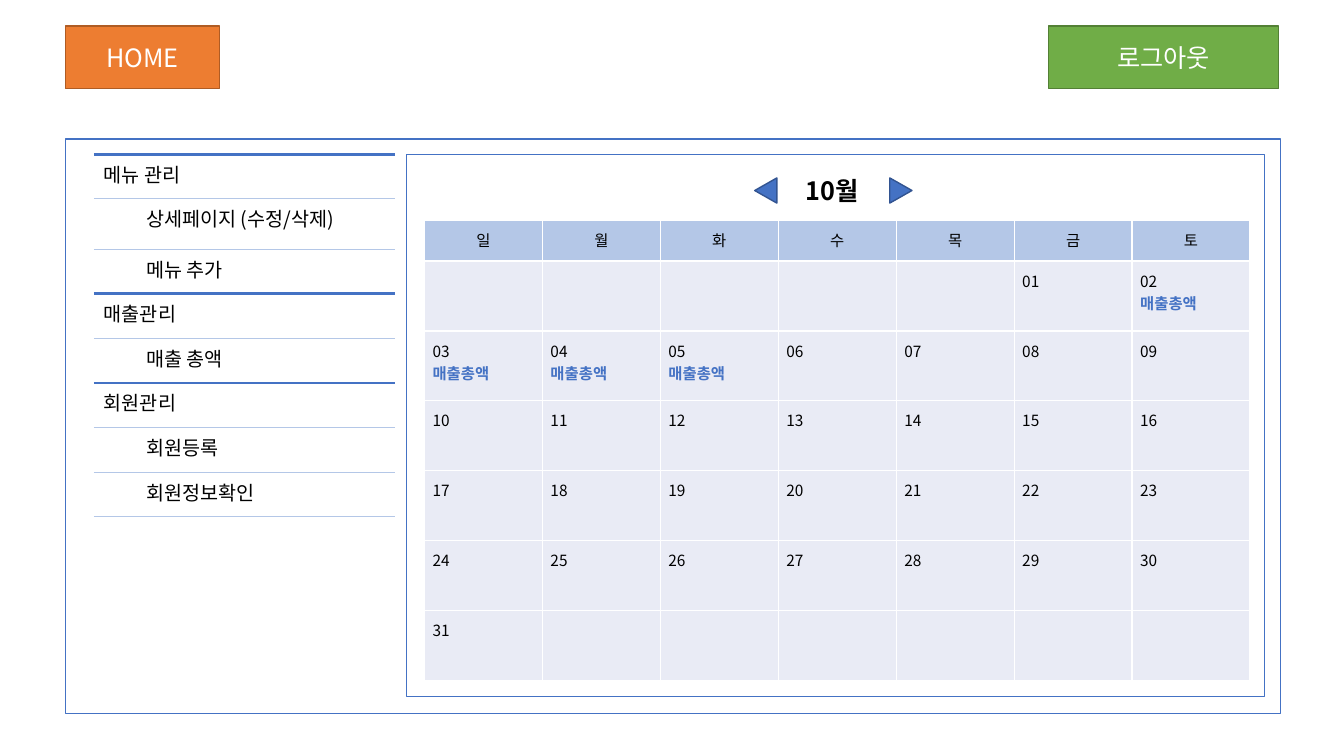
"""Build the admin calendar slide with a side menu and a monthly sales table."""
import pptx
import pptx.dml.color
import pptx.enum.shapes
import pptx.enum.text
import pptx.oxml.ns
import pptx.util
from lxml import etree

Inches, Pt = pptx.util.Inches, pptx.util.Pt
RGBColor = pptx.dml.color.RGBColor
SHAPE = pptx.enum.shapes.MSO_SHAPE
ALIGN = pptx.enum.text.PP_ALIGN
ANCHOR = pptx.enum.text.MSO_ANCHOR
qn = pptx.oxml.ns.qn

FONT = "Noto Sans CJK KR"
WHITE = RGBColor(0xFF, 0xFF, 0xFF)
BLACK = RGBColor(0, 0, 0)
BLUE = RGBColor(0x44, 0x72, 0xC4)
DARK_BLUE = RGBColor(0x32, 0x54, 0x91)
LIGHT_BLUE = RGBColor(0xB4, 0xC7, 0xE7)
PALE_BLUE = RGBColor(0xE9, 0xEB, 0xF5)
ORANGE = RGBColor(0xED, 0x7D, 0x31)
DARK_ORANGE = RGBColor(0xAF, 0x5C, 0x24)
GREEN = RGBColor(0x70, 0xAD, 0x47)
DARK_GREEN = RGBColor(0x53, 0x80, 0x35)

BUTTONS = [
    ("HOME", (0.65, 0.26, 1.53, 0.62), ORANGE, DARK_ORANGE),
    ("로그아웃", (10.4, 0.26, 2.28, 0.62), GREEN, DARK_GREEN),
]
PANELS = [(0.65, 1.38, 12.05, 5.7), (4.03, 1.53, 8.51, 5.38)]
ARROWS = [(7.47, 270), (8.81, 90)]
MONTH = "10월"
MONTH_BOX = (7.89, 1.69, 2.06, 0.4)

WEEKDAYS = "일월화수목금토"
FIRST_COLUMN, LAST_DAY, WEEKS = 5, 31, 6
SALES_DAYS = {2, 3, 4, 5}
SALES_LABEL = "매출총액"
CALENDAR_BOX = (4.21, 2.19, 8.19, 4.56)
WEEKDAY_HEIGHT = 0.4
CALENDAR_INSET = 0.08

MENU = [
    ("메뉴 관리", ["상세페이지 (수정/삭제)", "메뉴 추가"]),
    ("매출관리", ["매출 총액"]),
    ("회원관리", ["회원등록", "회원정보확인"]),
]
MENU_BOX = (0.93, 1.53, 2.99, 3.6)
MENU_INDENT = 0.42
DETAIL_ROW, DETAIL_HEIGHT = 1, 0.5


def format_paragraph(paragraph, size, color, bold=False, align=ALIGN.LEFT):
    paragraph.alignment = align
    for run in paragraph.runs:
        run.font.size, run.font.bold = Pt(size), bold
        run.font.color.rgb = color
        run.font.name = FONT
        etree.SubElement(run.font._element, qn("a:ea"), typeface=FONT)


def add_box(slide, kind, box, fill, line):
    shape = slide.shapes.add_shape(kind, *map(Inches, box))
    shape.shadow.inherit = False
    shape.fill.solid()
    shape.fill.fore_color.rgb = fill
    shape.line.color.rgb = line
    shape.line.width = Pt(1)
    return shape


def add_plain_table(slide, box, widths, heights):
    table = slide.shapes.add_table(len(heights), len(widths), *map(Inches, box)).table
    table.first_row = table.horz_banding = False
    for column, width in zip(table.columns, widths):
        column.width = Inches(width)
    for row, height in zip(table.rows, heights):
        row.height = Inches(height)
    return table


def set_borders(cell, **borders):
    properties = cell._tc.get_or_add_tcPr()
    for side in "LRTB":
        color, width = borders.get(side, (None, 0))
        line = etree.SubElement(properties, qn(f"a:ln{side}"), w=str(Pt(width)))
        if color is None:
            etree.SubElement(line, qn("a:noFill"))
        else:
            fill = etree.SubElement(line, qn("a:solidFill"))
            etree.SubElement(fill, qn("a:srgbClr"), val=str(color))


def add_calendar(slide):
    columns = len(WEEKDAYS)
    week_height = (CALENDAR_BOX[3] - WEEKDAY_HEIGHT) / WEEKS
    table = add_plain_table(slide, CALENDAR_BOX, [CALENDAR_BOX[2] / columns] * columns,
                            [WEEKDAY_HEIGHT] + [week_height] * WEEKS)
    for index, cell in enumerate(table.iter_cells()):
        set_borders(cell, **dict.fromkeys("LRTB", (WHITE, 1)))
        cell.fill.solid()
        cell.margin_left = cell.margin_right = Inches(CALENDAR_INSET)
        cell.margin_top = cell.margin_bottom = Inches(CALENDAR_INSET)
        day = index - columns - FIRST_COLUMN + 1
        paragraph = cell.text_frame.paragraphs[0]
        cell.fill.fore_color.rgb = LIGHT_BLUE if index < columns else PALE_BLUE
        if index < columns:
            paragraph.text = WEEKDAYS[index]
            format_paragraph(paragraph, 11, BLACK, align=ALIGN.CENTER)
        elif 1 <= day <= LAST_DAY:
            paragraph.text = f"{day:02}"
            format_paragraph(paragraph, 11, BLACK)
            if day in SALES_DAYS:
                label = cell.text_frame.add_paragraph()
                label.text = SALES_LABEL
                format_paragraph(label, 11, BLUE, bold=True)


def add_menu(slide):
    rows = [entry for heading, items in MENU
            for entry in [(heading, True)] + [(item, False) for item in items]]
    heights = [(MENU_BOX[3] - DETAIL_HEIGHT) / (len(rows) - 1)] * len(rows)
    heights[DETAIL_ROW] = DETAIL_HEIGHT
    table = add_plain_table(slide, MENU_BOX, [MENU_INDENT, MENU_BOX[2] - MENU_INDENT], heights)
    edges = [(BLUE, 2.25) if is_heading else (LIGHT_BLUE, 1) for _, is_heading in rows]
    edges.append((LIGHT_BLUE, 1))
    for index, (text, is_heading) in enumerate(rows):
        for column in range(2):
            cell = table.cell(index, column)
            set_borders(cell, T=edges[index], B=edges[index + 1])
            cell.fill.background()
        if is_heading:
            table.cell(index, 0).merge(table.cell(index, 1))
        paragraph = table.cell(index, 0 if is_heading else 1).text_frame.paragraphs[0]
        paragraph.text = text
        format_paragraph(paragraph, 14, BLACK)


def add_month(slide, panel):
    title = slide.shapes.title
    title.left, title.top, title.width, title.height = map(Inches, MONTH_BOX)
    panel._element.addnext(title._element)
    frame = title.text_frame
    frame.text = MONTH
    frame.auto_size = pptx.enum.text.MSO_AUTO_SIZE.NONE
    frame.vertical_anchor = ANCHOR.TOP
    frame.paragraphs[0].line_spacing = 1.0
    frame.paragraphs[0].space_before = Pt(0)
    format_paragraph(frame.paragraphs[0], 18, BLACK, bold=True)
    for left, rotation in ARROWS:
        arrow = add_box(slide, SHAPE.ISOSCELES_TRIANGLE, (left, 1.78, 0.25, 0.22), BLUE, DARK_BLUE)
        arrow.rotation = rotation


def main():
    presentation = pptx.Presentation()
    presentation.slide_width, presentation.slide_height = Inches(13.33), Inches(7.5)
    slide = presentation.slides.add_slide(presentation.slide_layouts[5])
    panels = [add_box(slide, SHAPE.RECTANGLE, box, WHITE, BLUE) for box in PANELS]
    for text, box, fill, line in BUTTONS:
        button = add_box(slide, SHAPE.RECTANGLE, box, fill, line)
        button.text_frame.text = text
        button.text_frame.vertical_anchor = ANCHOR.MIDDLE
        format_paragraph(button.text_frame.paragraphs[0], 18, WHITE, align=ALIGN.CENTER)
    add_calendar(slide)
    add_month(slide, panels[-1])
    add_menu(slide)
    presentation.save("out.pptx")


if __name__ == "__main__":
    main()
